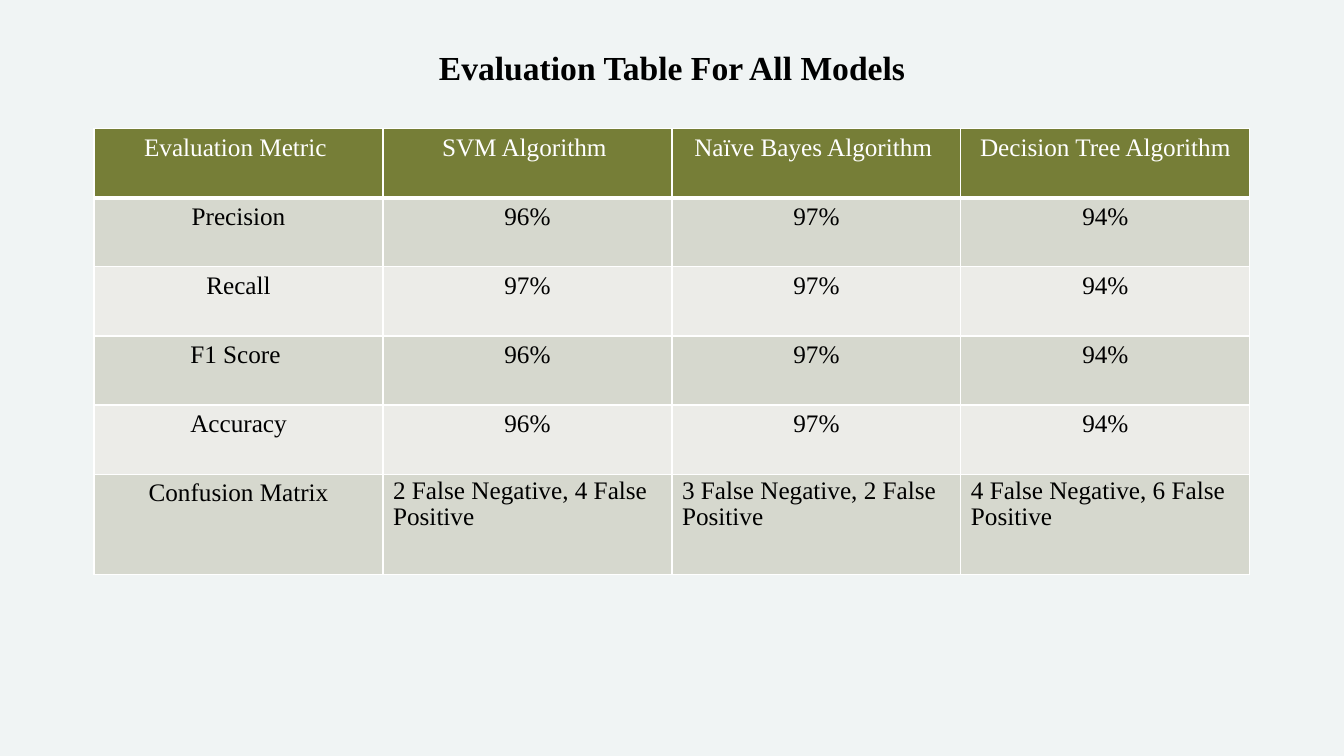
from pptx import Presentation
from pptx.dml.color import RGBColor as RGB
from pptx.enum.text import MSO_ANCHOR as ANCHOR, PP_ALIGN as ALIGN
from pptx.oxml import parse_xml
from pptx.oxml.ns import nsdecls
from pptx.util import Inches, Pt

BACKGROUND = RGB(0xF0, 0xF4, 0xF4)
OLIVE = RGB(0x76, 0x7E, 0x37)
BANDS = RGB(0xD6, 0xD8, 0xCE), RGB(0xEC, 0xEC, 0xE8)
WHITE = RGB(0xFF, 0xFF, 0xFF)
BLACK = RGB(0x00, 0x00, 0x00)

METRICS = [
    ("Evaluation Metric ", "SVM Algorithm ", "Naïve Bayes Algorithm ", "Decision Tree Algorithm"),
    ("Precision", "96%", "97%", "94%"),
    ("Recall", "97%", "97%", "94%"),
    ("F1 Score ", "96%", "97%", "94%"),
    ("Accuracy", "96%", "97%", "94%"),
    ("Confusion Matrix", "2 False Negative, 4 False Positive",
     "3 False Negative, 2 False Positive", "4 False Negative, 6 False Positive"),
]


class EvaluationSlide:
    font = "Times New Roman"
    title_size = Pt(24)
    cell_size = Pt(18)

    def __init__(self, prs):
        self.width, self.height = prs.slide_width, prs.slide_height
        self.slide = prs.slides.add_slide(prs.slide_layouts[5])
        fill = self.slide.background.fill
        fill.solid()
        fill.fore_color.rgb = BACKGROUND

    def box(self, left, top, width, height):
        """Turn shares of the slide's size into lengths."""
        return (int(left * self.width), int(top * self.height),
                int(width * self.width), int(height * self.height))

    def set_text(self, p, text, size, color, align, bold=False):
        p.text = text
        p.alignment = align
        for r in p.runs:
            r.font.name = self.font
            r.font.size = size
            r.font.bold = bold
            r.font.color.rgb = color

    def title(self, text, *shares):
        sp = self.slide.shapes.title
        sp.left, sp.top, sp.width, sp.height = self.box(*shares)
        tf = sp.text_frame
        tf.word_wrap = True
        tf.vertical_anchor = ANCHOR.TOP
        tf.margin_top = Inches(0.09)
        self.set_text(tf.paragraphs[0], text, self.title_size, BLACK, ALIGN.CENTER, bold=True)

    def table(self, rows, row_shares, *shares):
        """Draw a header row over banded rows; row_shares are of the table's height."""
        left, top, width, height = self.box(*shares)
        table = self.slide.shapes.add_table(
            len(rows), len(rows[0]), left, top, width, height).table
        for row, share in zip(table.rows, row_shares):
            row.height = int(share * height)
        for i, texts in enumerate(rows):
            for j, text in enumerate(texts):
                self.cell(table.cell(i, j), text, i, wide=i == len(rows) - 1 and j > 0)

    def cell(self, cell, text, row, wide):
        header = row == 0
        self.borders(cell, bottom=3 if header else 1)
        cell.fill.solid()
        cell.fill.fore_color.rgb = OLIVE if header else BANDS[(row - 1) % 2]
        p = cell.text_frame.paragraphs[0]
        self.set_text(p, text, self.cell_size, WHITE if header else BLACK,
                      ALIGN.LEFT if wide else ALIGN.CENTER)
        if wide:
            p.line_spacing = 0.93

    def borders(self, cell, bottom):
        tc_pr = cell._tc.get_or_add_tcPr()
        for side, points in zip("LRTB", (1, 1, 1, bottom)):
            tc_pr.append(parse_xml(
                f'<a:ln{side} {nsdecls("a")} w="{Pt(points)}"><a:solidFill>'
                f'<a:srgbClr val="{WHITE}"/></a:solidFill></a:ln{side}>'))


def main():
    prs = Presentation()
    prs.slide_width, prs.slide_height = Inches(13.33), Inches(7.5)
    page = EvaluationSlide(prs)
    page.title("Evaluation Table For All Models", 0.21, 0.05, 0.58, 0.12)
    page.table(METRICS, [0.155] * 5 + [0.225], 0.07, 0.17, 0.86, 0.59)
    prs.save("out.pptx")


if __name__ == "__main__":
    main()
